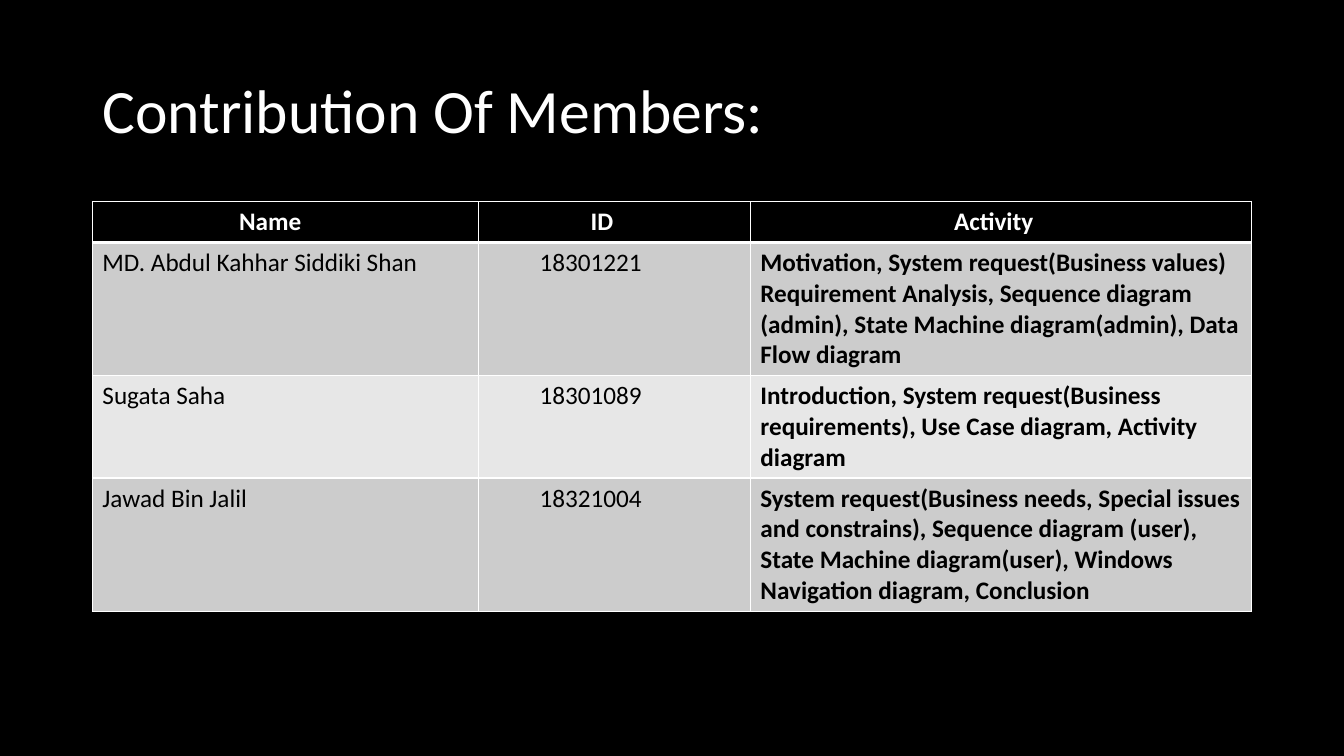
"""Build the slide listing what each member contributed."""
from lxml.etree import SubElement
from pptx import Presentation
from pptx.dml.color import RGBColor
from pptx.enum.text import MSO_ANCHOR, PP_ALIGN
from pptx.oxml.ns import qn
from pptx.util import Pt

BLACK = RGBColor(0x00, 0x00, 0x00)
WHITE = RGBColor(0xFF, 0xFF, 0xFF)
DARK_BAND = RGBColor(0xCC, 0xCC, 0xCC)
LIGHT_BAND = RGBColor(0xE7, 0xE7, 0xE7)
FONT = "Calibri"
LEFT, WIDTH = Pt(66), Pt(828)
CELL_MARGIN = 7.2

COLUMN_WIDTHS = [275.6, 194.4, 358]
ROW_HEIGHTS = [29.2, 95.1, 73.1, 95.1]
HEADER_INDENTS = [97.6, 73.2, 138.3]
BODY_INDENTS = [0, 36.6, 0]
ROWS = [
    ["Name", "ID", "Activity"],
    ["MD. Abdul Kahhar Siddiki Shan", "18301221",
     "Motivation, System request(Business values)\n"
     "Requirement Analysis, Sequence diagram (admin), "
     "State Machine diagram(admin), Data Flow diagram"],
    ["Sugata Saha", "18301089",
     "Introduction, System request(Business requirements), "
     "Use Case diagram, Activity diagram"],
    ["Jawad Bin Jalil", "18321004",
     "System request(Business needs, Special issues and constrains), "
     "Sequence diagram (user), State Machine diagram(user), "
     "Windows Navigation diagram, Conclusion"],
]


def format_text(paragraph, size, color, bold=False):
    for span in paragraph.runs:
        span.font.name = FONT
        span.font.size = Pt(size)
        span.font.bold = bold
        span.font.color.rgb = color


def add_borders(cell, top, bottom):
    properties = cell._tc.get_or_add_tcPr()
    for side, width in (("L", 1), ("R", 1), ("T", top), ("B", bottom)):
        line = SubElement(properties, qn(f"a:ln{side}"), w=str(Pt(width)))
        fill = SubElement(line, qn("a:solidFill"))
        SubElement(fill, qn("a:srgbClr"), val=str(WHITE))


deck = Presentation()
deck.slide_width, deck.slide_height = Pt(960), Pt(540)
page = deck.slides.add_slide(deck.slide_layouts[5])
page.background.fill.solid()
page.background.fill.fore_color.rgb = BLACK

title = page.shapes.title
title.left, title.top, title.width, title.height = LEFT, Pt(28.8), WIDTH, Pt(104.4)
title.text_frame.text = "Contribution Of Members:"
title.text_frame.vertical_anchor = MSO_ANCHOR.MIDDLE
heading = title.text_frame.paragraphs[0]
heading.alignment = PP_ALIGN.LEFT
heading.line_spacing = 0.9
format_text(heading, 44, WHITE)

table = page.shapes.add_table(
    len(ROWS), len(COLUMN_WIDTHS), LEFT, Pt(144), WIDTH, Pt(sum(ROW_HEIGHTS))
).table
for column, width in zip(table.columns, COLUMN_WIDTHS):
    column.width = Pt(width)
for row, height in zip(table.rows, ROW_HEIGHTS):
    row.height = Pt(height)

for row_index, texts in enumerate(ROWS):
    is_header = row_index == 0
    indents = HEADER_INDENTS if is_header else BODY_INDENTS
    band = BLACK if is_header else DARK_BAND if row_index % 2 else LIGHT_BAND
    for column_index, text in enumerate(texts):
        cell = table.cell(row_index, column_index)
        add_borders(cell, 3 if row_index == 1 else 1, 3 if is_header else 1)
        cell.fill.solid()
        cell.fill.fore_color.rgb = band
        cell.margin_left = Pt(CELL_MARGIN + indents[column_index])
        cell.text_frame.text = text
        for paragraph in cell.text_frame.paragraphs:
            format_text(paragraph, 18, WHITE if is_header else BLACK,
                        is_header or column_index == 2)

deck.save("out.pptx")
